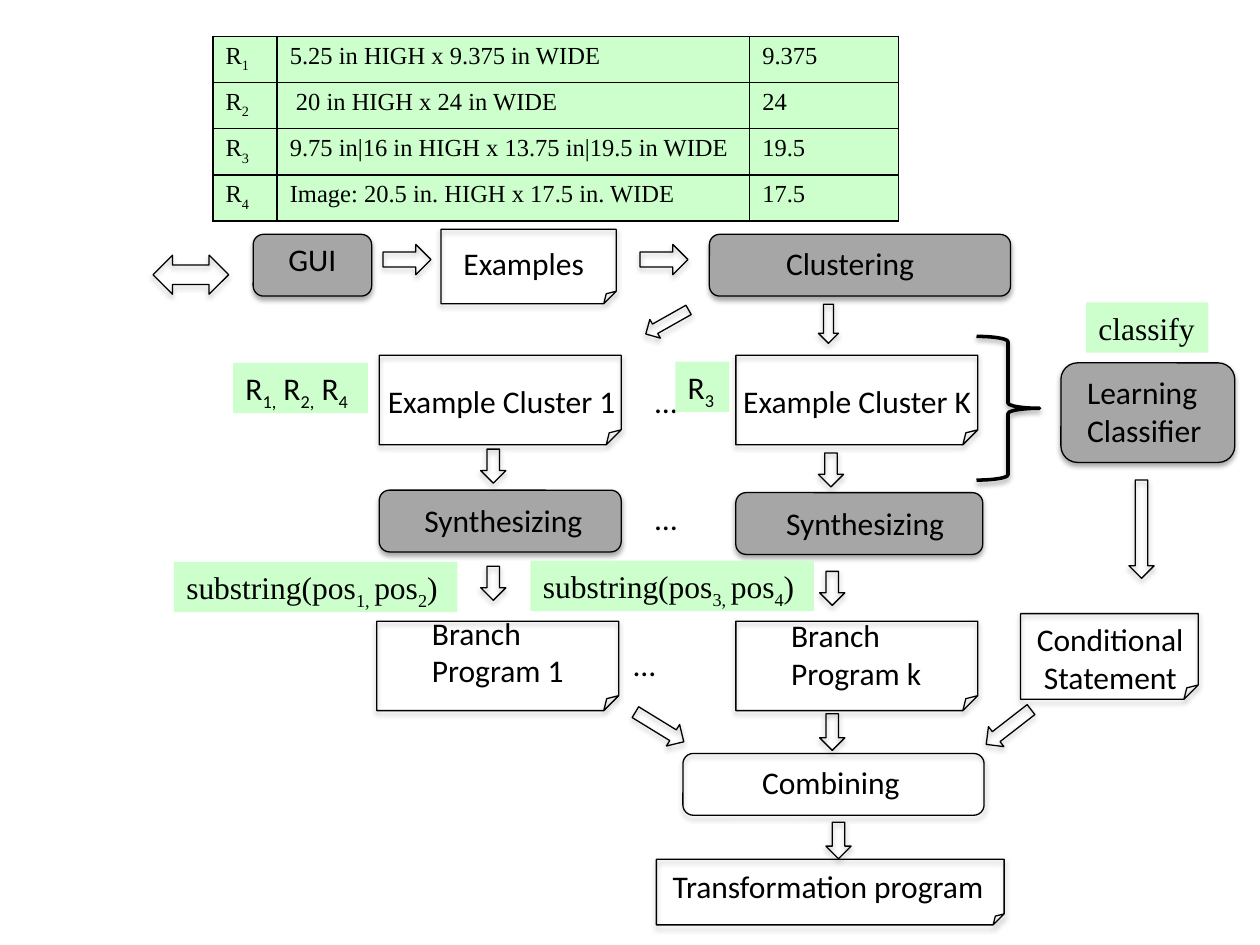
from lxml.etree import SubElement
from pptx import Presentation
from pptx.dml.color import RGBColor
from pptx.enum.shapes import MSO_SHAPE as Preset
from pptx.enum.text import MSO_AUTO_SIZE as AutoSize
from pptx.oxml.ns import qn
from pptx.util import Inches, Pt

BLACK, GRAY, GREEN = "000000", "A6A6A6", "CCFFCC"
SANS, SERIF = "Calibri", "Times New Roman"

TABLE_ROWS = [
    ("R~1~", "5.25 in HIGH x 9.375 in WIDE", "9.375"),
    ("R~2~", " 20 in HIGH x 24 in WIDE", "24"),
    ("R~3~", "9.75 in|16 in HIGH x 13.75 in|19.5 in WIDE", "19.5"),
    ("R~4~", "Image: 20.5 in. HIGH x 17.5 in. WIDE", "17.5"),
]
COLUMN_WIDTHS = [0.51, 3.75, 1.18]

# Process steps: left, top, width, height, fill
STEPS = [
    (2.01, 1.86, 0.94, 0.49, GRAY),
    (5.63, 1.86, 2.39, 0.49, GRAY),
    (8.42, 2.88, 1.38, 0.79, GRAY),
    (3.01, 3.89, 1.92, 0.49, GRAY),
    (5.84, 3.91, 1.96, 0.49, GRAY),
    (5.42, 5.98, 2.39, 0.49, None),
]

# Data documents: left, top, width, height
DOCUMENTS = [
    (3.5, 1.82, 1.39, 0.59),
    (3.01, 2.82, 1.92, 0.71),
    (5.84, 2.82, 1.92, 0.71),
    (2.99, 4.93, 1.92, 0.71),
    (5.84, 4.93, 1.92, 0.71),
    (8.1, 4.87, 1.41, 0.68),
    (5.21, 6.82, 2.76, 0.52),
]

# Block arrows: left, top, width, height, rotation
ARROWS = [
    (3.04, 1.94, 0.38, 0.24, 0),
    (5.08, 1.94, 0.38, 0.24, 0),
    (5.1, 2.47, 0.39, 0.17, 150.6),
    (6.42, 2.49, 0.31, 0.16, 90),
    (3.78, 3.6, 0.27, 0.2, 90),
    (6.46, 3.63, 0.27, 0.2, 90),
    (3.78, 4.53, 0.27, 0.2, 90),
    (6.47, 4.57, 0.27, 0.2, 90),
    (8.67, 4.1, 0.78, 0.2, 90),
    (5.01, 5.67, 0.45, 0.2, 31.5),
    (6.46, 5.71, 0.29, 0.2, 90),
    (7.78, 5.67, 0.45, 0.2, 142.2),
    (6.51, 6.57, 0.29, 0.2, 90),
]

# Captions: text, left, top, width, height, wrap
CAPTIONS = [
    ("GUI", 2.19, 1.86, 0.92, 0.4, True),
    ("Examples", 3.58, 1.89, 1.19, 0.4, True),
    ("Clustering", 6.14, 1.89, 1.43, 0.4, True),
    ("Example Cluster 1", 2.98, 2.98, 2.04, 0.4, False),
    ("Example Cluster K", 5.8, 2.98, 2.04, 0.4, False),
    ("Learning Classifier", 8.53, 2.91, 1.43, 0.71, True),
    ("Synthesizing", 3.27, 3.93, 1.66, 0.4, True),
    ("Synthesizing", 6.14, 3.95, 1.66, 0.4, True),
    ("Branch\nProgram 1", 3.33, 4.82, 1.27, 0.71, False),
    ("Branch\nProgram k", 6.18, 4.84, 1.25, 0.71, False),
    ("Conditional\n Statement", 8.13, 4.87, 1.38, 0.71, False),
    ("Combining", 5.95, 6.01, 1.43, 0.4, True),
    ("Transformation program", 5.24, 6.83, 2.73, 0.4, False),
    ("…", 5.1, 2.98, 0.98, 0.4, True),
    ("…", 5.1, 3.91, 0.98, 0.4, True),
    ("…", 4.93, 5.07, 0.98, 0.4, True),
]

# Green example labels: text, left, top, width, font
LABELS = [
    ("R~1,~ R~2,~ R~4~", 1.85, 2.88, 1.07, SANS),
    ("R~3~", 5.36, 2.87, 0.43, SANS),
    ("classify", 8.62, 2.4, 0.97, SERIF),
    ("substring(pos~1, ~pos~2~)", 1.38, 4.46, 2.25, SERIF),
    ("substring(pos~3, ~pos~4~)", 4.21, 4.45, 2.25, SERIF),
]


def color(hex_value):
    return RGBColor.from_string(hex_value)


def set_fill(target, hex_value):
    if hex_value:
        target.fill.solid()
        target.fill.fore_color.rgb = color(hex_value)
    else:
        target.fill.background()


def write_text(frame, text, font_name=SANS, size=18):
    """Write one paragraph per line; text between tildes is subscript."""
    font_format = {"name": font_name, "size": Pt(size)}
    for index, line in enumerate(text.split("\n")):
        paragraph = frame.add_paragraph() if index else frame.paragraphs[0]
        for position, piece in enumerate(line.split("~")):
            if not piece:
                continue
            run = paragraph.add_run()
            run.text = piece
            for name, value in font_format.items():
                setattr(run.font, name, value)
            run.font.color.rgb = color(BLACK)
            if position % 2:
                run.font._element.set("baseline", "-25000")


def add_shadow(shape, opacity=35):
    shape.shadow.inherit = False
    effects = shape._element.spPr.find(qn("a:effectLst"))
    shadow = SubElement(effects, qn("a:outerShdw"), blurRad=str(Pt(3.1)),
                        dist=str(Pt(1.8)), dir="5400000", rotWithShape="0")
    shade = SubElement(shadow, qn("a:srgbClr"), val=BLACK)
    SubElement(shade, qn("a:alpha"), val=str(opacity * 1000))


def add_block(slide, preset, box, fill=None, rotation=0, line_width=0.75):
    shape = slide.shapes.add_shape(preset, *map(Inches, box))
    shape.rotation = rotation
    set_fill(shape, fill)
    shape.line.color.rgb = color(BLACK)
    shape.line.width = Pt(line_width)
    add_shadow(shape)


def add_text(slide, text, box, wrap=False, fill=None, font_name=SANS):
    shape = slide.shapes.add_textbox(*map(Inches, box))
    set_fill(shape, fill)
    frame_format = {"word_wrap": wrap, "auto_size": AutoSize.SHAPE_TO_FIT_TEXT}
    for name, value in frame_format.items():
        setattr(shape.text_frame, name, value)
    write_text(shape.text_frame, text, font_name)


def add_borders(cell):
    properties = cell._tc.get_or_add_tcPr()
    for side in ("lnL", "lnR", "lnT", "lnB"):
        border = SubElement(properties, qn(f"a:{side}"), w=str(Pt(1)))
        fill = SubElement(border, qn("a:solidFill"))
        SubElement(fill, qn("a:srgbClr"), val=BLACK)


def add_example_table(slide):
    box = map(Inches, (1.69, 0.29, sum(COLUMN_WIDTHS), 1.44))
    table = slide.shapes.add_table(len(TABLE_ROWS), len(COLUMN_WIDTHS), *box).table
    table.first_row = table.horz_banding = False
    for column, width in zip(table.columns, COLUMN_WIDTHS):
        column.width = Inches(width)
    for row, texts in zip(table.rows, TABLE_ROWS):
        for cell, text in zip(row.cells, texts):
            add_borders(cell)
            set_fill(cell, GREEN)
            write_text(cell.text_frame, text, SERIF, 14)


def main():
    presentation = Presentation()
    presentation.slide_width, presentation.slide_height = Inches(10), Inches(7.5)
    slide = presentation.slides.add_slide(presentation.slide_layouts[6])

    # Flow diagram
    for *box, fill in STEPS:
        add_block(slide, Preset.ROUNDED_RECTANGLE, box, fill)
    for box in DOCUMENTS:
        add_block(slide, Preset.FOLDED_CORNER, box)
    for *box, rotation in ARROWS:
        add_block(slide, Preset.RIGHT_ARROW, box, rotation=rotation)
    add_block(slide, Preset.UP_DOWN_ARROW, (1.36, 1.88, 0.31, 0.6), rotation=270)
    add_block(slide, Preset.LEFT_BRACE, (7.75, 2.67, 0.5, 1.14),
              rotation=180, line_width=2)
    for text, *box, wrap in CAPTIONS:
        add_text(slide, text, box, wrap)

    # Worked example
    add_example_table(slide)
    for text, left, top, width, font_name in LABELS:
        add_text(slide, text, (left, top, width, 0.4), fill=GREEN, font_name=font_name)

    presentation.save("out.pptx")


if __name__ == "__main__":
    main()
